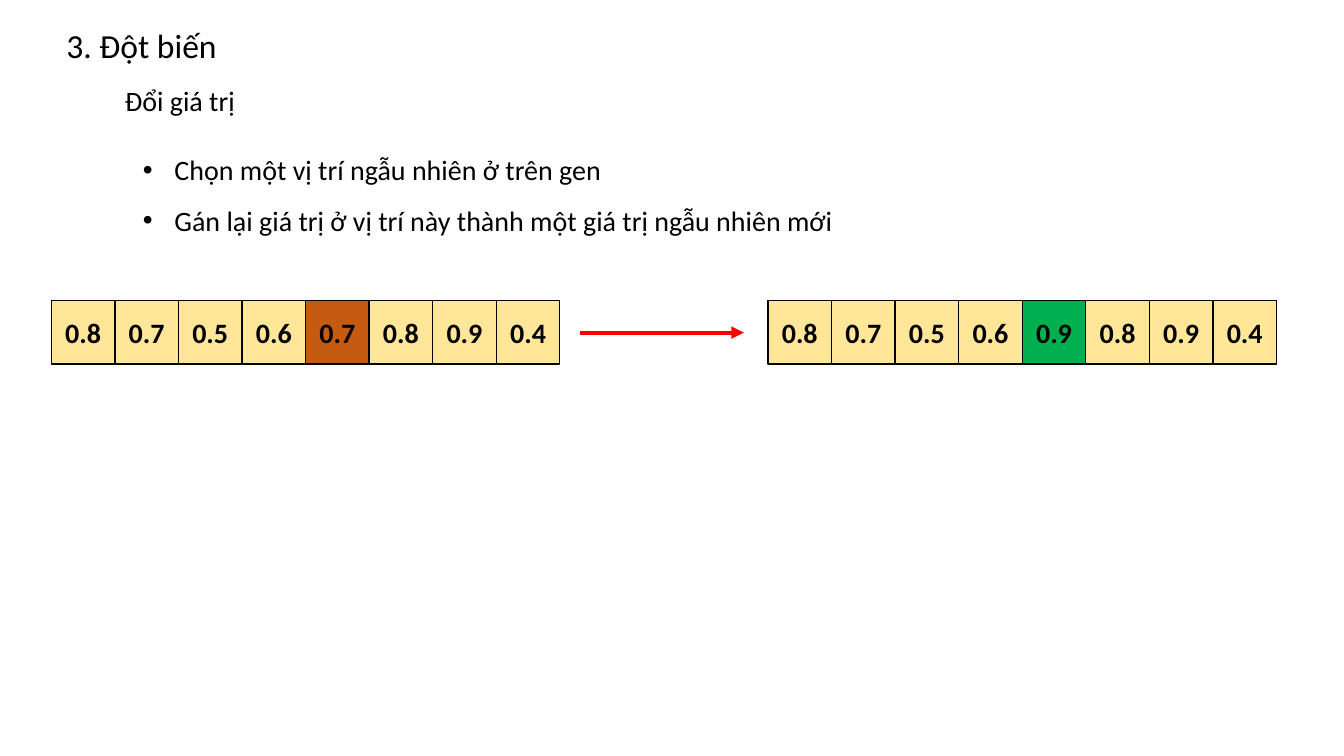
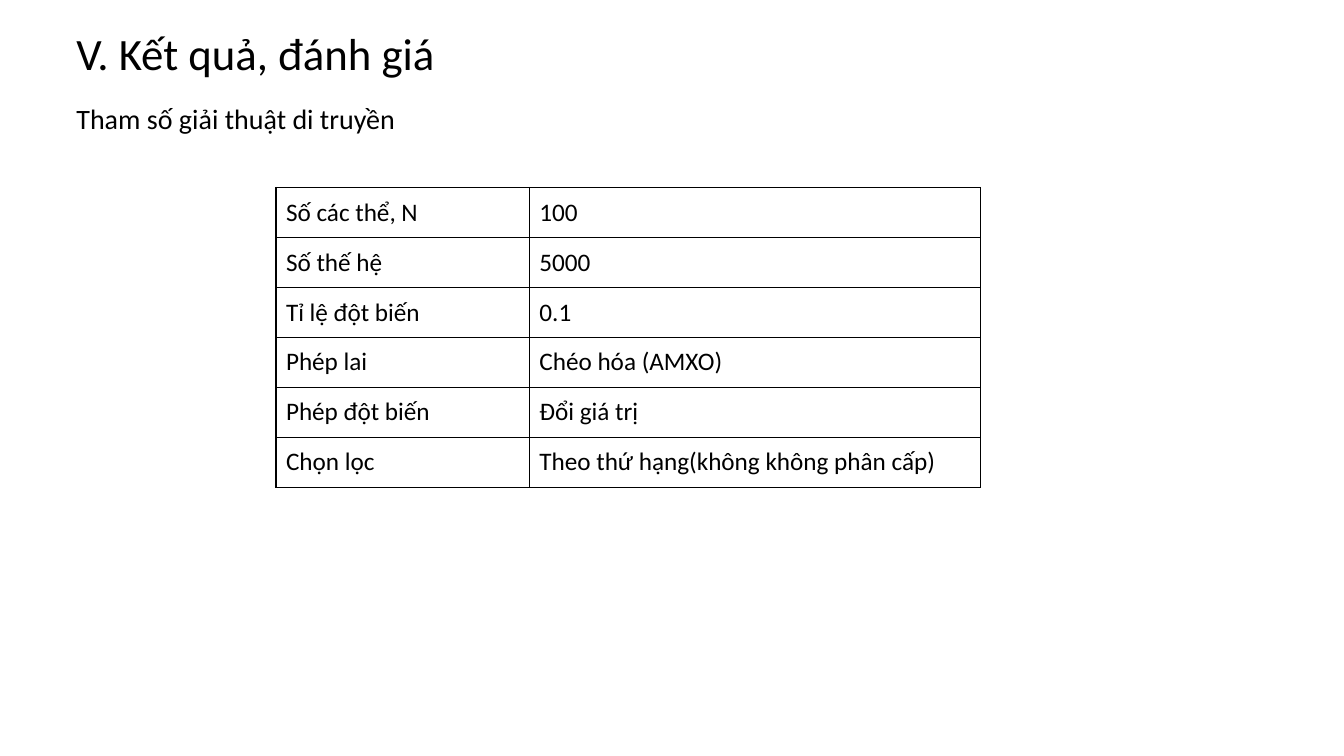
"""Build two slides on the mutation step and the parameters of a genetic algorithm."""
from dataclasses import dataclass

from lxml.etree import SubElement
from pptx import Presentation
from pptx.dml.color import RGBColor
from pptx.enum.shapes import MSO_CONNECTOR, MSO_SHAPE
from pptx.enum.text import MSO_ANCHOR, MSO_AUTO_SIZE, PP_ALIGN
from pptx.oxml import parse_xml
from pptx.oxml.ns import nsdecls, qn
from pptx.slide import Slide
from pptx.text.text import TextFrame, _Paragraph
from pptx.util import Pt


@dataclass(frozen=True)
class Theme:
    font: str = "Calibri"
    ink: str = "000000"
    paper: str = "FFFFFF"
    gene: str = "FFE699"
    before: str = "C55A11"
    after: str = "00B050"
    arrow: str = "FF0000"
    title_size: float = 32
    heading_size: float = 24
    body_size: float = 20
    table_size: float = 18
    border: float = 1
    arrow_width: float = 3


THEME = Theme()


@dataclass(frozen=True)
class Label:
    left: float
    top: float
    width: float
    height: float
    lines: tuple[str, ...]
    size: float = THEME.body_size
    wrap: bool = True
    bulleted: bool = False


@dataclass(frozen=True)
class Chromosome:
    left: float
    values: tuple[str, ...]
    mutated_fill: str


GENE_TOP, GENE_SIDE, MUTATED = 214.6, 45.4, 4
BULLET_INDENT = 22.5
MUTATION_LABELS = (
    Label(40.3, 14.4, 123, 36, ("3. Đột biến",), THEME.heading_size, wrap=False),
    Label(82.1, 56.2, 100, 31.7, ("Đổi giá trị",), wrap=False),
    Label(95, 93.6, 589, 75.6, (
        "Chọn một vị trí ngẫu nhiên ở trên gen",
        "Gán lại giá trị ở vị trí này thành một giá trị ngẫu nhiên mới",
    ), bulleted=True),
)
CHROMOSOMES = (
    Chromosome(36.7, ("0.8", "0.7", "0.5", "0.6", "0.7", "0.8", "0.9", "0.4"), THEME.before),
    Chromosome(548.6, ("0.8", "0.7", "0.5", "0.6", "0.9", "0.8", "0.9", "0.4"), THEME.after),
)
RESULT_LABELS = (
    Label(47.5, 15.1, 801.4, 46.1, ("V. Kết quả, đánh giá",), THEME.title_size),
    Label(47.5, 69.1, 509, 31.7, ("Tham số giải thuật di truyền",)),
)
PARAMETERS = (
    ("Số các thể, N", "100"),
    ("Số thế hệ", "5000"),
    ("Tỉ lệ đột biến", "0.1"),
    ("Phép lai", "Chéo hóa (AMXO)"),
    ("Phép đột biến", "Đổi giá trị"),
    ("Chọn lọc", "Theo thứ hạng(không không phân cấp)"),
)
COLUMN_WIDTHS = (181, 322.5)
ROW_HEIGHT = 35.7


def write(para: _Paragraph, text: str, size: float, bold: bool = False) -> None:
    """Add one formatted span to a paragraph."""
    span = para.add_run()
    span.text = text
    for name, value in {"name": THEME.font, "size": Pt(size), "bold": bold}.items():
        setattr(span.font, name, value)
    span.font.color.rgb = RGBColor.from_string(THEME.ink)


def add_bullet(para: _Paragraph) -> None:
    """Give a paragraph a hanging bullet and open line spacing."""
    para.line_spacing = 1.5
    properties = para._p.get_or_add_pPr()
    for name, value in {"marL": BULLET_INDENT, "indent": -BULLET_INDENT}.items():
        properties.set(name, str(int(Pt(value))))
    SubElement(properties, qn("a:buFont"), typeface="Arial")
    SubElement(properties, qn("a:buChar"), char="•")


def format_frame(frame: TextFrame, formats: dict[str, object]) -> None:
    """Apply format values to a text frame."""
    for name, value in formats.items():
        setattr(frame, name, value)


def add_label(page: Slide, label: Label) -> None:
    """Draw a text box with one paragraph per line."""
    box = page.shapes.add_textbox(
        Pt(label.left), Pt(label.top), Pt(label.width), Pt(label.height))
    frame = box.text_frame
    format_frame(frame, {"word_wrap": label.wrap, "auto_size": MSO_AUTO_SIZE.SHAPE_TO_FIT_TEXT})
    for index, line in enumerate(label.lines):
        para = frame.add_paragraph() if index else frame.paragraphs[0]
        if label.bulleted:
            add_bullet(para)
        write(para, line, label.size)


def add_chromosome(page: Slide, chromosome: Chromosome) -> None:
    """Draw a row of gene squares with the mutated one highlighted."""
    for index, value in enumerate(chromosome.values):
        box = page.shapes.add_shape(
            MSO_SHAPE.RECTANGLE, Pt(chromosome.left + index * GENE_SIDE),
            Pt(GENE_TOP), Pt(GENE_SIDE), Pt(GENE_SIDE))
        box.shadow.inherit = False
        box.fill.solid()
        fill = chromosome.mutated_fill if index == MUTATED else THEME.gene
        box.fill.fore_color.rgb = RGBColor.from_string(fill)
        box.line.color.rgb = RGBColor.from_string(THEME.ink)
        box.line.width = Pt(THEME.border)
        format_frame(box.text_frame, {"word_wrap": True, "vertical_anchor": MSO_ANCHOR.MIDDLE})
        para = box.text_frame.paragraphs[0]
        para.alignment = PP_ALIGN.CENTER
        write(para, value, THEME.body_size, bold=True)


def add_arrow(page: Slide, start: float, end: float, height: float) -> None:
    """Draw a horizontal arrow."""
    arrow = page.shapes.add_connector(
        MSO_CONNECTOR.STRAIGHT, Pt(start), Pt(height), Pt(end), Pt(height))
    arrow.line.color.rgb = RGBColor.from_string(THEME.arrow)
    arrow.line.width = Pt(THEME.arrow_width)
    SubElement(arrow.line._get_or_add_ln(), qn("a:tailEnd"), type="triangle")
    SubElement(arrow._element.spPr, qn("a:effectLst"))


def add_parameters(page: Slide, left: float, top: float) -> None:
    """Draw the bordered table of parameters."""
    table = page.shapes.add_table(
        len(PARAMETERS), len(COLUMN_WIDTHS), Pt(left), Pt(top),
        Pt(sum(COLUMN_WIDTHS)), Pt(ROW_HEIGHT * len(PARAMETERS))).table
    for name, value in {"first_row": False, "horz_banding": False}.items():
        setattr(table, name, value)
    for column, width in zip(table.columns, COLUMN_WIDTHS):
        column.width = Pt(width)
    for row, texts in zip(table.rows, PARAMETERS):
        row.height = Pt(ROW_HEIGHT)
        for cell, text in zip(row.cells, texts):
            cell.vertical_anchor = MSO_ANCHOR.MIDDLE
            cell.fill.solid()
            cell.fill.fore_color.rgb = RGBColor.from_string(THEME.paper)
            write(cell.text_frame.paragraphs[0], text, THEME.table_size)
            properties = cell._tc.get_or_add_tcPr()
            for index, side in enumerate(("lnL", "lnR", "lnT", "lnB")):
                properties.insert(index, parse_xml(
                    f'<a:{side} {nsdecls("a")} w="{int(Pt(THEME.border))}"><a:solidFill>'
                    f'<a:srgbClr val="{THEME.ink}"/></a:solidFill></a:{side}>'))


def main() -> None:
    """Build and save the deck."""
    deck = Presentation()
    deck.slide_width, deck.slide_height = Pt(960), Pt(540)
    blank = deck.slide_layouts[6]
    mutation, results = (deck.slides.add_slide(blank) for _ in range(2))
    for page, labels in ((mutation, MUTATION_LABELS), (results, RESULT_LABELS)):
        for label in labels:
            add_label(page, label)
    for chromosome in CHROMOSOMES:
        add_chromosome(mutation, chromosome)
    add_arrow(mutation, 414, 531.4, 237.6)
    add_parameters(results, 197.1, 133.9)
    deck.save("out.pptx")


if __name__ == "__main__":
    main()
